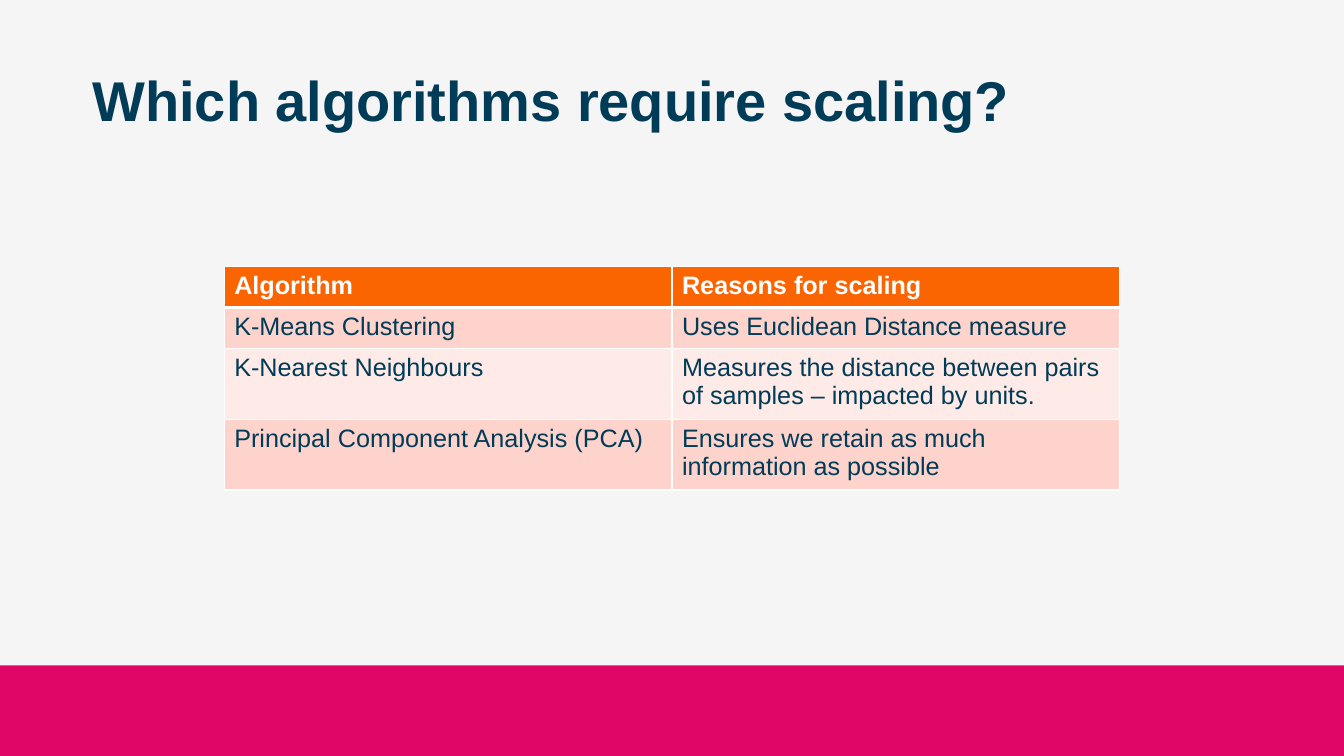
from lxml import etree
from pptx import Presentation
from pptx import util as u
from pptx.dml.color import RGBColor
from pptx.enum import shapes, text
from pptx.oxml import ns

NAVY, WHITE, ORANGE = "003B57", "FFFFFF", "FA6401"
BANDS = "FDD3CC", "FEEAE7"
ALGORITHMS = [
    ("Algorithm", "Reasons for scaling"),
    ("K-Means Clustering", "Uses Euclidean Distance measure"),
    ("K-Nearest Neighbours",
     "Measures the distance between pairs of samples – impacted by units."),
    ("Principal Component Analysis (PCA)",
     "Ensures we retain as much information as possible"),
]
ROW_HEIGHTS = 1.04, 1.04, 1.68, 1.68


def color(value):
    return RGBColor.from_string(value)


def write(frame, words, size=18, ink=NAVY, bold=False, spacing=None):
    frame.word_wrap = True
    paragraph = frame.paragraphs[0]
    paragraph.alignment = text.PP_ALIGN.LEFT
    paragraph.line_spacing = spacing
    run = paragraph.add_run()
    run.text = words
    run.font.name = "Arial"
    run.font.size = u.Pt(size)
    run.font.bold = bold
    run.font.color.rgb = color(ink)


class ScalingSlide:
    """Holds the current slide and draws its elements in one style."""

    def __init__(self, deck):
        self.slide = deck.slides.add_slide(deck.slide_layouts[6])
        background = self.slide.background.fill
        background.solid()
        background.fore_color.rgb = color("F5F5F6")

    def band(self, left, top, width, height, fill):
        footer = self.slide.shapes.add_shape(
            shapes.MSO_SHAPE.RECTANGLE, *map(u.Cm, (left, top, width, height)))
        footer.shadow.inherit = False
        footer.fill.solid()
        footer.fill.fore_color.rgb = color(fill)
        footer.line.fill.background()

    def title(self, words, left, top, width, height):
        frame = self.slide.shapes.add_textbox(
            *map(u.Cm, (left, top, width, height))).text_frame
        frame.margin_left = frame.margin_right = 0
        frame.margin_top = frame.margin_bottom = 0
        write(frame, words, size=40, ink="003C57", bold=True, spacing=0.95)

    def border(self, cell, side, width):
        properties = cell._tc.get_or_add_tcPr()
        line = etree.SubElement(properties, ns.qn(f"a:ln{side}"), w=str(u.Pt(width)))
        fill = etree.SubElement(line, ns.qn("a:solidFill"))
        etree.SubElement(fill, ns.qn("a:srgbClr"), val=WHITE)

    def table(self, rows, heights, left, top, width):
        grid = self.slide.shapes.add_table(
            len(rows), len(rows[0]),
            *map(u.Cm, (left, top, width, sum(heights)))).table
        for r, (row, height) in enumerate(zip(rows, heights)):
            grid.rows[r].height = u.Cm(height)
            header = r == 0
            for c, words in enumerate(row):
                cell = grid.cell(r, c)
                for side in "LRTB":
                    under_header = (r, side) in ((0, "B"), (1, "T"))
                    self.border(cell, side, 3 if under_header else 1)
                cell.fill.solid()
                cell.fill.fore_color.rgb = color(
                    ORANGE if header else BANDS[(r - 1) % 2])
                write(cell.text_frame, words, bold=header,
                      ink=WHITE if header else NAVY)


def main():
    deck = Presentation()
    deck.slide_width, deck.slide_height = u.Cm(33.87), u.Cm(19.05)
    page = ScalingSlide(deck)
    page.band(0, 16.77, 33.87, 2.28, "DF0667")
    page.title("Which algorithms require scaling?", 2.33, 1.78, 24.5, 1.63)
    page.table(ALGORITHMS, ROW_HEIGHTS, 5.65, 6.71, 22.57)
    deck.save("out.pptx")


if __name__ == "__main__":
    main()
